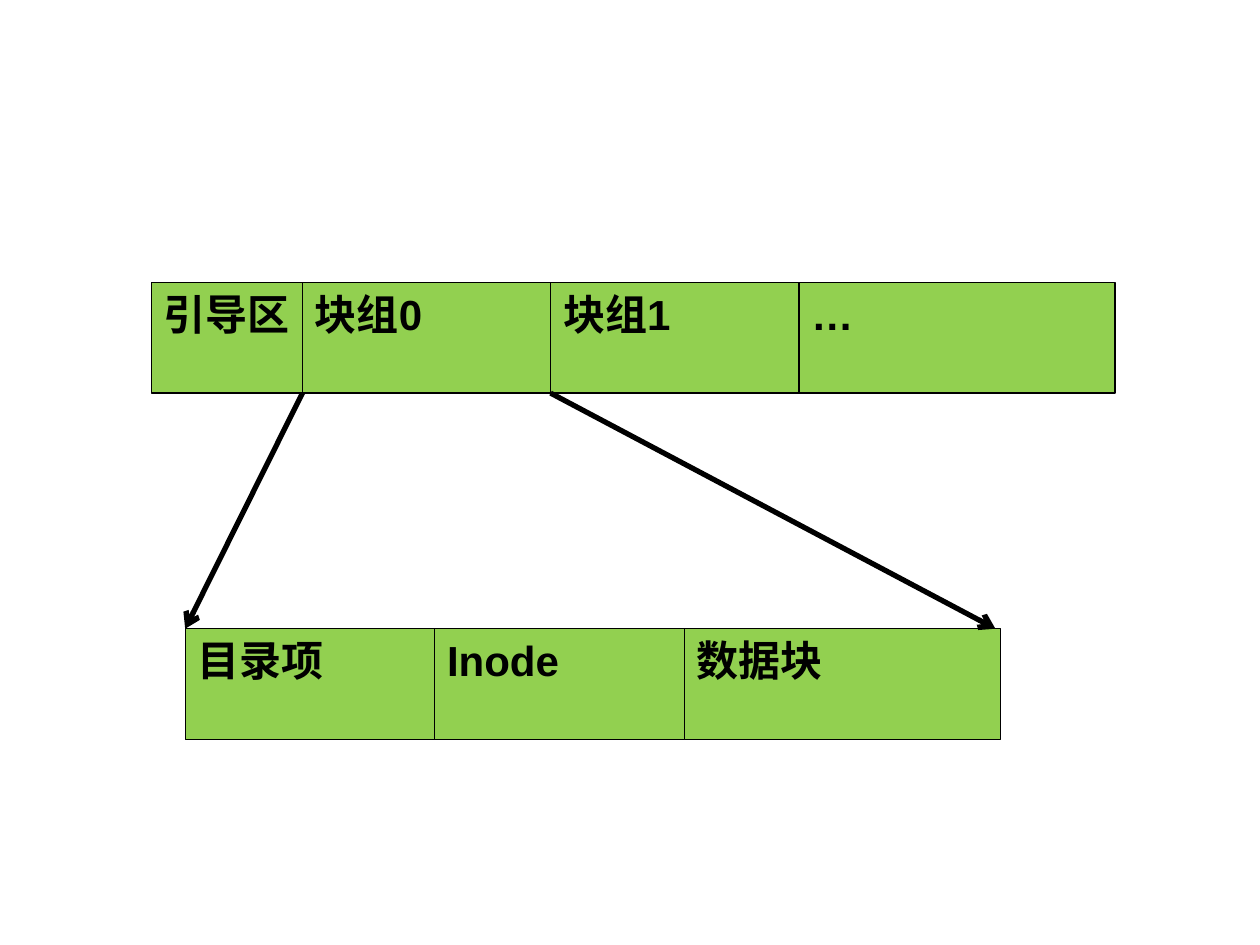
from dataclasses import dataclass

from lxml import etree
from pptx import Presentation
from pptx.dml.color import RGBColor
from pptx.enum.shapes import MSO_CONNECTOR, MSO_SHAPE
from pptx.enum.text import MSO_ANCHOR, PP_ALIGN
from pptx.oxml.ns import qn
from pptx.util import Inches, Pt

RECT = MSO_SHAPE.RECTANGLE
STRAIGHT = MSO_CONNECTOR.STRAIGHT
LEFT, TOP = PP_ALIGN.LEFT, MSO_ANCHOR.TOP
BLANK_LAYOUT = 6


@dataclass(frozen=True)
class Theme:
    block: RGBColor = RGBColor(0x92, 0xD0, 0x50)
    ink: RGBColor = RGBColor(0, 0, 0)
    font: str = "Arial"
    text_size: float = 24
    border: float = 0.75
    arrow: float = 3


THEME = Theme()

# Grid in inches: two rows of blocks, each later block covering its neighbour
ROW_HEIGHT = 0.88
DISK_TOP, GROUP_TOP = 2.24, 4.99
WIDE = 2.51
DISK_LEFT, DISK_STEP = 2.4, 1.97
GROUP_LEFT, GROUP_STEP = 1.47, 1.98

DISK_BLOCKS = [("引导区", 1.2, 1.53)] + [
    (label, DISK_LEFT + i * DISK_STEP, WIDE)
    for i, label in enumerate(("块组0", "块组1", "…"))
]
GROUP_BLOCKS = [
    (label, GROUP_LEFT + i * GROUP_STEP, width)
    for i, (label, width) in enumerate(
        (("目录项", GROUP_STEP), ("Inode", WIDE), ("数据块", WIDE)))
]


def set_line(line, width):
    line.color.rgb = THEME.ink
    line.width = Pt(width)


def add_block(s, label, left, top, width):
    sp = s.shapes.add_shape(RECT, *map(Inches, (left, top, width, ROW_HEIGHT)))
    sp.shadow.inherit = False
    sp.fill.solid()
    sp.fill.fore_color.rgb = THEME.block
    set_line(sp.line, THEME.border)
    tf = sp.text_frame
    tf.word_wrap = True
    tf.vertical_anchor = TOP
    p = tf.paragraphs[0]
    p.alignment = LEFT
    r = p.add_run()
    r.text = label
    font_format = {"name": THEME.font, "size": Pt(THEME.text_size), "bold": True}
    for name, value in font_format.items():
        setattr(r.font, name, value)
    r.font.color.rgb = THEME.ink


def add_row(s, blocks, top):
    for label, left, width in blocks:
        add_block(s, label, left, top, width)


def add_arrow(s, start_x, end_x):
    """Arrow from the foot of the disk row to the top of the group row."""
    ends = (start_x, DISK_TOP + ROW_HEIGHT, end_x, GROUP_TOP)
    cx = s.shapes.add_connector(STRAIGHT, *map(Inches, ends))
    set_line(cx.line, THEME.arrow)
    etree.SubElement(cx.line._get_or_add_ln(), qn("a:tailEnd"), type="arrow")
    etree.SubElement(cx._element.spPr, qn("a:effectLst"))


def main():
    prs = Presentation()
    prs.slide_width, prs.slide_height = Inches(10), Inches(7.5)
    s = prs.slides.add_slide(prs.slide_layouts[BLANK_LAYOUT])

    # Disk layout above, contents of block group 0 below
    add_row(s, DISK_BLOCKS, DISK_TOP)
    add_row(s, GROUP_BLOCKS, GROUP_TOP)

    # Both edges of block group 0 open out to the lower row
    add_arrow(s, DISK_LEFT, GROUP_LEFT)
    add_arrow(s, DISK_LEFT + DISK_STEP, 7.9)

    prs.save("out.pptx")


if __name__ == "__main__":
    main()
